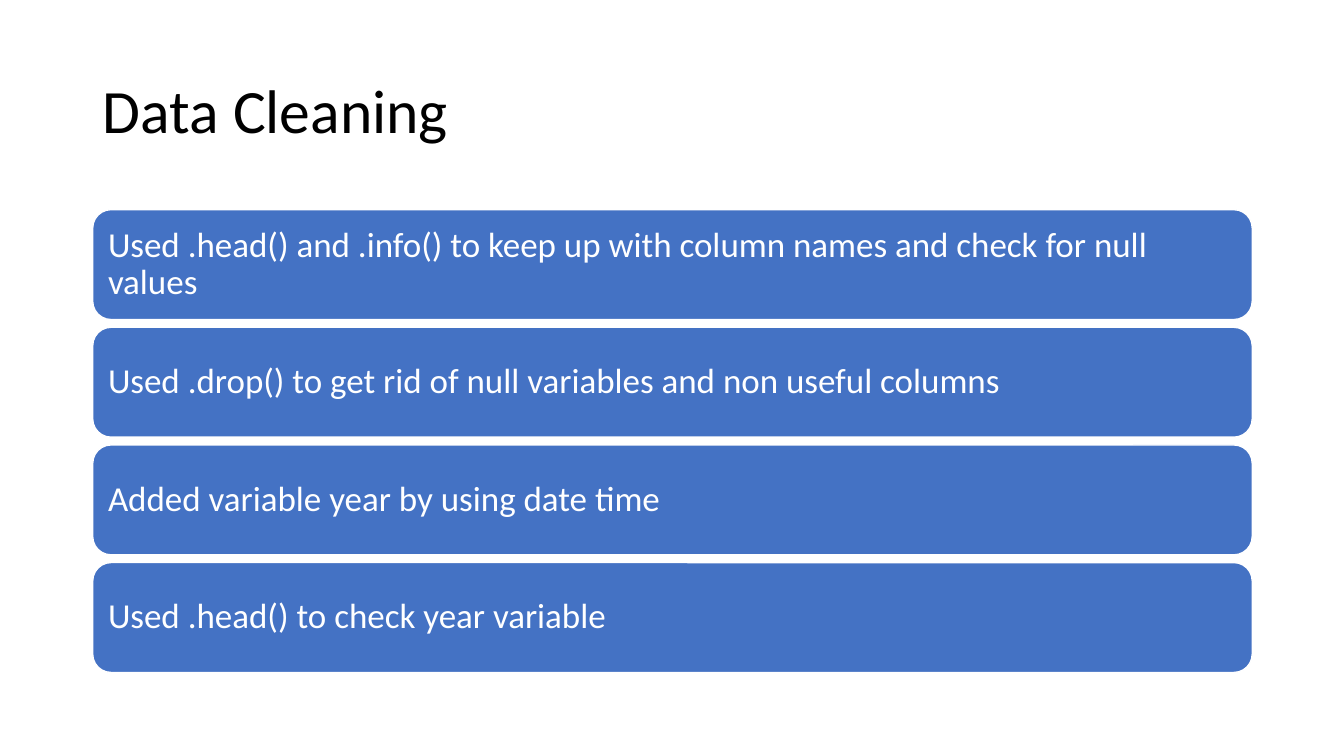
from dataclasses import dataclass

from pptx import Presentation
from pptx.dml.color import RGBColor
from pptx.enum.shapes import MSO_SHAPE
from pptx.enum.text import MSO_ANCHOR, MSO_AUTO_SIZE, PP_ALIGN
from pptx.util import Inches, Pt


@dataclass(frozen=True)
class Theme:
    font: str = "Calibri"
    title_size: int = 44
    step_size: int = 25
    black: RGBColor = RGBColor(0x00, 0x00, 0x00)
    white: RGBColor = RGBColor(0xFF, 0xFF, 0xFF)
    blue: RGBColor = RGBColor(0x44, 0x72, 0xC4)


THEME = Theme()
LEFT, WIDTH = 0.92, 11.5
FIRST_TOP, BAR_HEIGHT, PITCH = 2.08, 1.09, 1.167

STEPS = [
    "Used .head() and .info() to keep up with column names and check for null values",
    "Used .drop() to get rid of null variables and non useful columns",
    "Added variable year by using date time",
    "Used .head() to check year variable",
]


def write_text(tf, text, size, color):
    """Fill a text frame with one left-aligned, vertically centred paragraph."""
    tf.word_wrap = True
    tf.auto_size = MSO_AUTO_SIZE.NONE
    tf.vertical_anchor = MSO_ANCHOR.MIDDLE
    p = tf.paragraphs[0]
    p.alignment = PP_ALIGN.LEFT
    p.line_spacing = 0.9
    r = p.add_run()
    r.text = text
    r.font.name = THEME.font
    r.font.size = Pt(size)
    r.font.color.rgb = color


def set_title(slide, text):
    sp = slide.shapes.title
    sp.left, sp.top = Inches(LEFT), Inches(0.4)
    sp.width, sp.height = Inches(WIDTH), Inches(1.45)
    write_text(sp.text_frame, text, THEME.title_size, THEME.black)


def add_step(slide, top, text):
    sp = slide.shapes.add_shape(
        MSO_SHAPE.ROUNDED_RECTANGLE,
        Inches(LEFT), Inches(top), Inches(WIDTH), Inches(BAR_HEIGHT),
    )
    sp.shadow.inherit = False
    sp.fill.solid()
    sp.fill.fore_color.rgb = THEME.blue
    sp.line.color.rgb = THEME.white
    sp.line.width = Pt(1)
    tf = sp.text_frame
    tf.margin_left = tf.margin_right = Inches(0.1)
    tf.margin_top = tf.margin_bottom = Inches(0.1)
    write_text(tf, text, THEME.step_size, THEME.white)


def main():
    prs = Presentation()
    prs.slide_width, prs.slide_height = Inches(13.33), Inches(7.5)
    slide = prs.slides.add_slide(prs.slide_layouts[5])  # Title Only

    # Title
    set_title(slide, "Data Cleaning")

    # Stacked cleaning steps
    for i, text in enumerate(STEPS):
        add_step(slide, FIRST_TOP + i * PITCH, text)

    prs.save("out.pptx")


if __name__ == "__main__":
    main()
